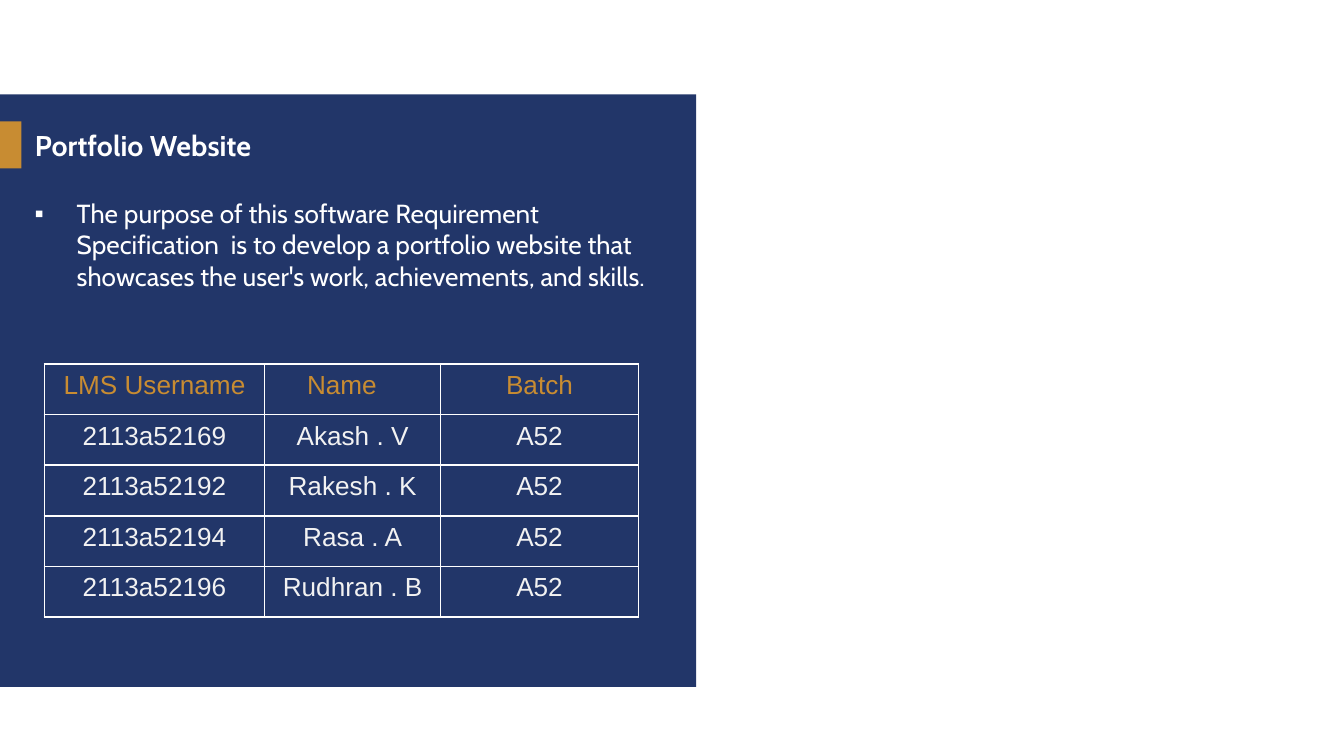
"""Build the portfolio website slide with its team table."""
from lxml.etree import SubElement
from pptx import Presentation
from pptx.dml.color import RGBColor
from pptx.enum.shapes import MSO_SHAPE
from pptx.enum.text import MSO_ANCHOR, MSO_AUTO_SIZE, PP_ALIGN
from pptx.oxml import parse_xml
from pptx.oxml.ns import nsdecls, qn
from pptx.util import Pt

TITLE = "Portfolio Website"
PURPOSE = ("The purpose of this software Requirement Specification  is to develop "
           "a portfolio website that showcases the user's work, achievements, and skills.")
HEADERS = ["LMS Username", "Name", "Batch"]
MEMBERS = [
    ("2113a52169", "Akash . V", "A52"),
    ("2113a52192", "Rakesh . K", "A52"),
    ("2113a52194", "Rasa . A", "A52"),
    ("2113a52196", "Rudhran . B", "A52"),
]
COL_WIDTHS = [118, 94.3, 106]
ROW_HEIGHT = 27.1
NAME_MARGIN = 22.7
THEME = {
    "navy": "223669", "gold": "C88C32", "white": "FFFFFF", "pale": "F2F2F2",
    "title_size": 15.3, "size": 14, "font": "Cabin", "table_font": "Arial",
}


def put_text(tf, text, color="white", size="size", font="font", bold=False,
             align=PP_ALIGN.LEFT):
    p = tf.paragraphs[0]
    p.alignment = align
    r = p.add_run()
    r.text = text
    r.font.name = THEME[font]
    r.font.size = Pt(THEME[size])
    r.font.bold = bold
    r.font.color.rgb = RGBColor.from_string(THEME[color])
    return p


def add_block(slide, color, *box):
    sp = slide.shapes.add_shape(MSO_SHAPE.RECTANGLE, *map(Pt, box))
    sp.shadow.inherit = False
    sp.fill.solid()
    sp.fill.fore_color.rgb = RGBColor.from_string(THEME[color])
    sp.line.fill.background()


def add_bullet(p, indent):
    pPr = p._p.get_or_add_pPr()
    pPr.set("marL", str(Pt(indent)))
    pPr.set("indent", str(-Pt(indent)))
    SubElement(SubElement(pPr, qn("a:buClr")), qn("a:srgbClr"), val=THEME["white"])
    SubElement(pPr, qn("a:buFont"), typeface=THEME["table_font"])
    SubElement(pPr, qn("a:buChar"), char="▪")


def set_borders(cell):
    tcPr = cell._tc.get_or_add_tcPr()
    for i, side in enumerate("LRTB"):
        tcPr.insert(i, parse_xml(
            f'<a:ln{side} {nsdecls("a")} w="{Pt(1)}"><a:solidFill>'
            f'<a:srgbClr val="{THEME["white"]}"/></a:solidFill></a:ln{side}>'))


def add_team_table(slide, left, top):
    rows = [HEADERS, *MEMBERS]
    table = slide.shapes.add_table(
        len(rows), len(HEADERS), Pt(left), Pt(top),
        Pt(sum(COL_WIDTHS)), Pt(ROW_HEIGHT * len(rows))).table
    table.first_row = table.horz_banding = False
    for col, width in zip(table.columns, COL_WIDTHS):
        col.width = Pt(width)
    for i, values in enumerate(rows):
        table.rows[i].height = Pt(ROW_HEIGHT)
        for j, value in enumerate(values):
            cell = table.cell(i, j)
            shifted = value == "Name"
            if shifted:
                cell.margin_left = Pt(NAME_MARGIN)
            put_text(cell.text_frame, value, color="pale" if i else "gold",
                     font="table_font",
                     align=PP_ALIGN.LEFT if shifted else PP_ALIGN.CENTER)
            cell.fill.background()
            set_borders(cell)


def main():
    prs = Presentation()
    prs.slide_width, prs.slide_height = Pt(720), Pt(405)
    slide = prs.slides.add_slide(prs.slide_layouts[5])
    add_block(slide, "navy", 0, 50.5, 373, 317.5)
    add_block(slide, "gold", 0, 65, 11.5, 25.2)

    title = slide.shapes.title
    slide.shapes._spTree.append(title._element)
    title.left, title.top, title.width, title.height = map(Pt, (11.5, 64.3, 269, 27.4))
    tf = title.text_frame
    tf.auto_size = MSO_AUTO_SIZE.NONE
    tf.vertical_anchor = MSO_ANCHOR.MIDDLE
    put_text(tf, TITLE, size="title_size", bold=True)

    body = slide.shapes.add_textbox(*map(Pt, (11.5, 102.2, 342, 239)))
    body.text_frame.word_wrap = True
    add_bullet(put_text(body.text_frame, PURPOSE), 22.5)

    add_team_table(slide, 23.8, 195)
    prs.save("out.pptx")


if __name__ == "__main__":
    main()
